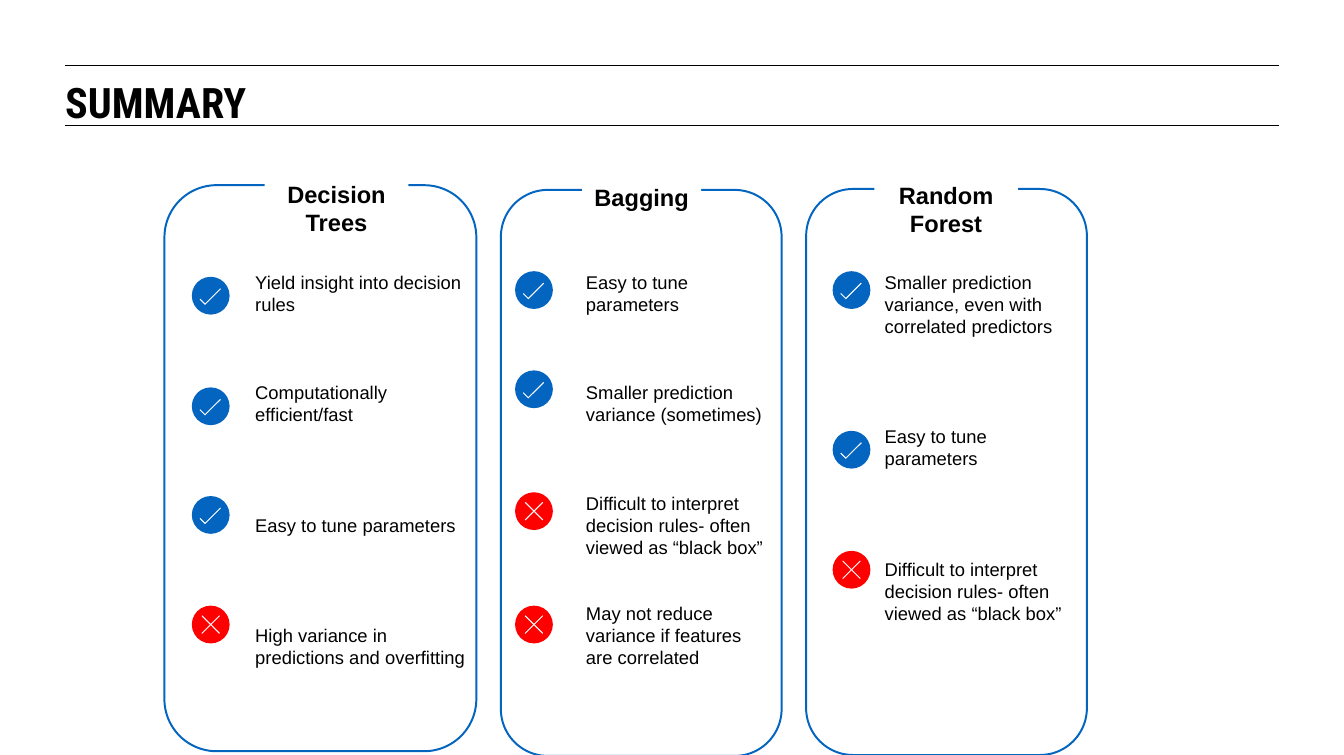
from math import cos, pi, sin

from lxml import etree
from pptx import Presentation
from pptx.dml.color import RGBColor
from pptx.enum.shapes import MSO_CONNECTOR, MSO_SHAPE
from pptx.enum.text import MSO_ANCHOR, PP_ALIGN
from pptx.oxml.ns import qn
from pptx.util import Inches, Pt

BLACK = RGBColor(0x00, 0x00, 0x00)
WHITE = RGBColor(0xFF, 0xFF, 0xFF)
BLUE = RGBColor(0x03, 0x65, 0xC0)
RED = RGBColor(0xFF, 0x00, 0x00)
LEFT, CENTER = PP_ALIGN.LEFT, PP_ALIGN.CENTER
TOP = MSO_ANCHOR.TOP
LINE = MSO_CONNECTOR.STRAIGHT
RECT, ROUND = MSO_SHAPE.RECTANGLE, MSO_SHAPE.ROUNDED_RECTANGLE

ROW = 16.8
RADIUS = 0.2
STEPS = 24
CIRCLE = [(RADIUS * cos(i * 2 * pi / STEPS), RADIUS * sin(i * 2 * pi / STEPS))
          for i in range(STEPS)]
TICK = [(0.11, -0.07), (-0.06, 0.1), (-0.12, 0.04), (-0.11, 0.03), (-0.06, 0.08), (0.1, -0.08)]
CROSS = [(0.1, 0.09), (0.09, 0.1), (0, 0.01), (-0.09, 0.1), (-0.1, 0.09), (-0.01, 0),
         (-0.1, -0.09), (-0.09, -0.1), (0, -0.01), (0.09, -0.1), (0.1, -0.09), (0.01, 0)]
GOOD, BAD = (BLUE, TICK), (RED, CROSS)

CARDS = [
    dict(name="Decision Trees", box=(1.74, 1.96, 3.3, 5.99), label=(2.8, 1.9, 1.52, 0.58),
         notes=(2.65, 2.82, 2.35, 4.09), mid=2.23, items=[
             (GOOD, 3.13, 0, "Yield insight into decision rules"),
             (GOOD, 4.3, 3, "Computationally efficient/fast"),
             (GOOD, 5.45, 4, "Easy to tune parameters"),
             (BAD, 6.61, 4, "High variance in predictions and overfitting")]),
    dict(name="Bagging", box=(5.3, 2.01, 2.97, 5.99), label=(6.16, 1.94, 1.26, 0.28),
         notes=(6.15, 2.82, 2.07, 4.32), mid=5.65, items=[
             (GOOD, 3.07, 0, "Easy to tune parameters"),
             (GOOD, 4.12, 3, "Smaller prediction variance (sometimes)"),
             (BAD, 5.41, 3, "Difficult to interpret decision rules- often viewed as “black box”"),
             (BAD, 6.61, 2, "May not reduce variance if features are correlated")]),
    dict(name="Random Forest", box=(8.53, 2, 2.97, 5.99), label=(9.25, 1.91, 1.52, 0.58),
         notes=(9.31, 2.82, 2, 3.65), mid=9.01, items=[
             (GOOD, 3.07, 0, "Smaller prediction variance, even with correlated predictors"),
             (GOOD, 4.76, 4, "Easy to tune parameters"),
             (BAD, 6.03, 4, "Difficult to interpret decision rules- often viewed as “black box”")]),
]


def place(box):
    return [Inches(v) for v in box]


def write(shape, texts, size, font="Arial", bold=False, align=LEFT, inset=0, gaps=(0,)):
    frame = shape.text_frame
    frame.word_wrap = True
    frame.vertical_anchor = TOP
    frame.margin_left = frame.margin_right = Inches(inset)
    frame.margin_top = frame.margin_bottom = Inches(inset)
    for i, (text, gap) in enumerate(zip(texts, gaps)):
        para = frame.paragraphs[0] if i == 0 else frame.add_paragraph()
        para.text = text
        para.alignment = align
        if gap:
            para.space_before = Pt(gap)
        para.font.size = Pt(size)
        para.font.name = font
        para.font.bold = bold
        para.font.color.rgb = BLACK


def add_block(slide, kind, box, edge=None):
    shape = slide.shapes.add_shape(kind, *place(box))
    shape.shadow.inherit = False
    shape.fill.solid()
    shape.fill.fore_color.rgb = WHITE
    if edge is None:
        shape.line.fill.background()
    else:
        shape.line.color.rgb = edge
        shape.line.width = Pt(1.5)
    return shape


def add_badge(slide, x, y, kind):
    color, mark = kind
    rim, hole = ([place((x + dx, y + dy)) for dx, dy in part] for part in (CIRCLE, mark))
    pen = slide.shapes.build_freeform(*rim[0])
    pen.add_line_segments(rim[1:])
    pen.move_to(*hole[0])
    pen.add_line_segments(hole[1:])
    badge = pen.convert_to_shape()
    badge.shadow.inherit = False
    badge.fill.solid()
    badge.fill.fore_color.rgb = color
    badge.line.fill.background()


def add_head(slide, box, text):
    x, y, w, h = box
    for rule in (y, y + h):
        line = slide.shapes.add_connector(LINE, *place((x, rule, x + w, rule)))
        line.line.color.rgb = BLACK
        line.line.width = Pt(0.75)
        etree.SubElement(line._element.spPr, qn("a:effectLst"))
    title = slide.shapes.title
    title.left, title.top, title.width, title.height = place((x, y + 0.12, w, 0.53))
    write(title, [text], 32, font="Roboto Condensed", bold=True)


def add_card(slide, name, box, label, notes, mid, items):
    frame = add_block(slide, ROUND, box, edge=BLUE)
    frame.adjustments[0] = 0.167
    write(add_block(slide, RECT, label), [name], 18, bold=True, align=CENTER)
    write(slide.shapes.add_textbox(*place(notes)), [item[3] for item in items], 14,
          inset=0.05, gaps=[item[2] * ROW for item in items])
    for kind, y, _, _ in items:
        add_badge(slide, mid, y, kind)


def main():
    deck = Presentation()
    deck.slide_width, deck.slide_height = place((14.22, 7.99))
    slide = deck.slides.add_slide(deck.slide_layouts[5])
    add_head(slide, (0.69, 0.69, 12.84, 0.64), "SUMMARY")
    for card in CARDS:
        add_card(slide, **card)
    deck.save("out.pptx")


if __name__ == "__main__":
    main()
